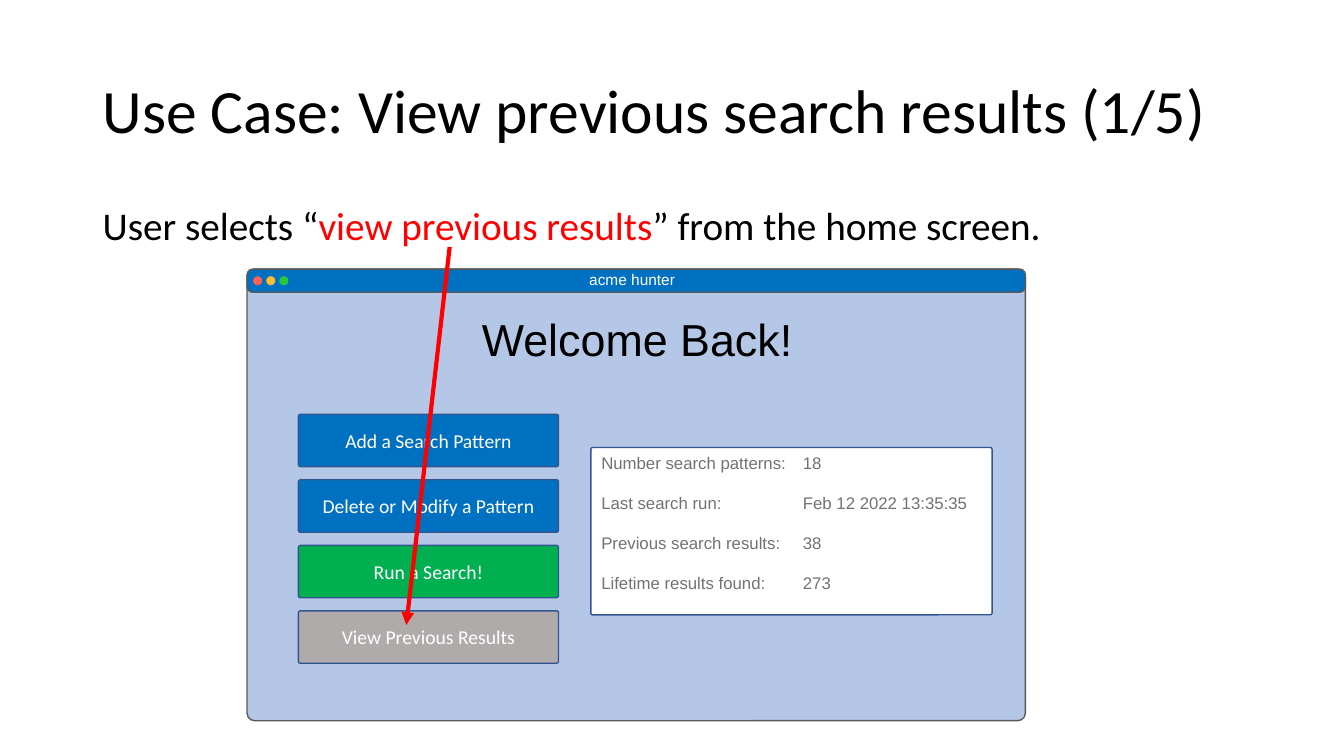
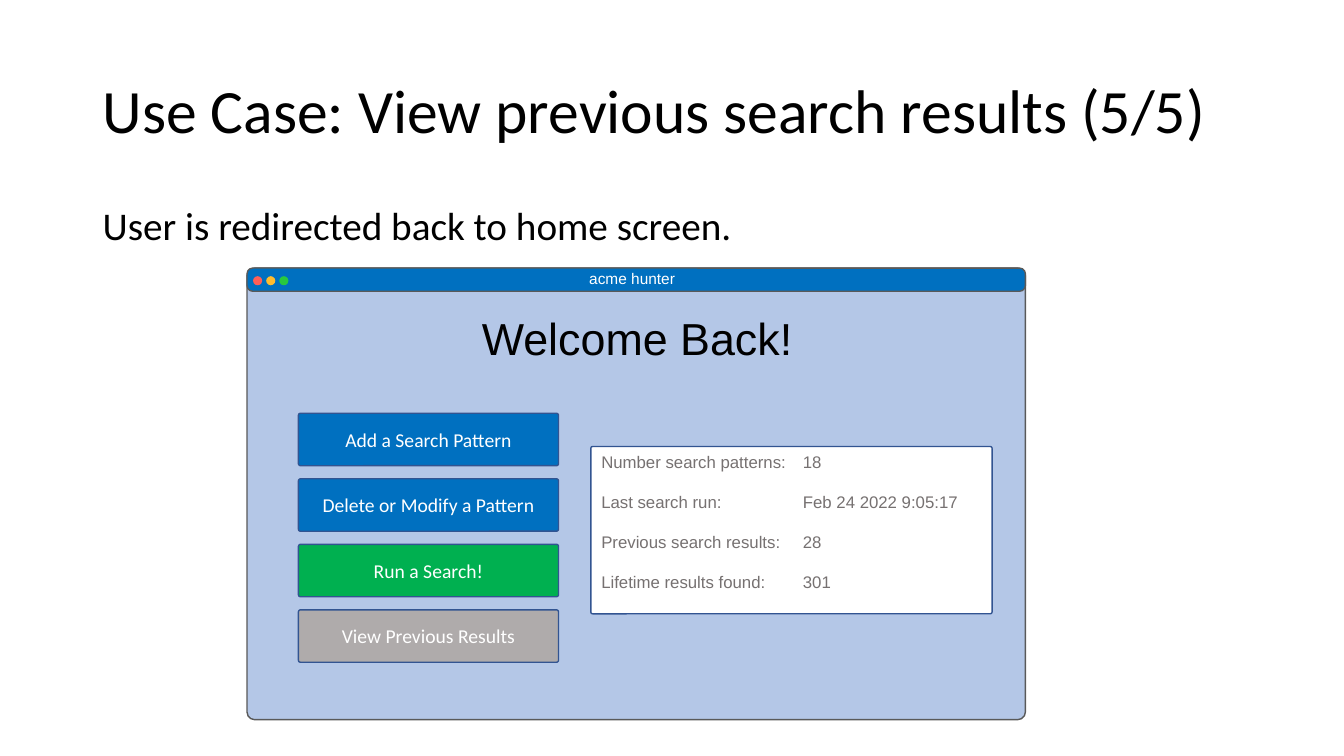
from lxml.etree import SubElement
from pptx import Presentation
from pptx.dml.color import RGBColor
from pptx.enum.shapes import MSO_CONNECTOR as Connector, MSO_SHAPE as Preset
from pptx.enum.text import MSO_ANCHOR as Anchor, PP_ALIGN as Align
from pptx.oxml.ns import qn
from pptx.util import Inches, Pt

COLORS = {
    "black": "000000", "white": "FFFFFF", "red": "FF0000",
    "window": "B4C7E7", "window_edge": "595959",
    "blue": "0070C0", "green": "00B050", "gray": "AFABAB",
    "edge": "325491", "stat": "767171",
    "close": "FF5F57", "minimize": "FFBC2E", "zoom": "28C840",
}
BUTTONS = [
    ("Add a Search Pattern", "blue"),
    ("Delete or Modify a Pattern", "blue"),
    ("Run a Search!", "green"),
    ("View Previous Results", "gray"),
]
STAT_LABELS = [
    "Number search patterns:", "Last search run:",
    "Previous search results:", "Lifetime results found:",
]


def rgb(name):
    return RGBColor.from_string(COLORS[name])


def write(frame, text, size=14, font="Calibri", color="black", align=Align.LEFT,
          anchor=Anchor.TOP, line=None, before=None, after=None, tab=None):
    frame.word_wrap = True
    frame.vertical_anchor = anchor
    rows = [text] if isinstance(text, str) else text
    for index, row in enumerate(rows):
        paragraph = frame.add_paragraph() if index else frame.paragraphs[0]
        paragraph.alignment = align
        paragraph.line_spacing = line
        paragraph.space_before = before
        paragraph.space_after = after
        if tab:
            tabs = SubElement(paragraph._p.get_or_add_pPr(), qn("a:tabLst"))
            SubElement(tabs, qn("a:tab"), pos=str(Inches(tab)), algn="l")
        pieces = [(row, color)] if isinstance(row, str) else row
        for words, shade in pieces:
            run = paragraph.add_run()
            run.text = words
            run.font.size = Pt(size)
            run.font.name = font
            run.font.color.rgb = rgb(shade)


class Deck:
    def __init__(self):
        self.presentation = Presentation()
        self.presentation.slide_width = Inches(13.33)
        self.presentation.slide_height = Inches(7.5)

    def new_slide(self, title, body):
        self.slide = self.presentation.slides.add_slide(self.presentation.slide_layouts[6])
        self.shapes = self.slide.shapes
        self.text(0.92, 0.4, 11.5, 1.45, title, size=44, anchor=Anchor.MIDDLE, line=0.9)
        self.text(0.92, 2, 11.5, 0.57, body, size=28, line=0.9, before=Pt(10))

    def text(self, left, top, width, height, text, **style):
        box = self.shapes.add_textbox(Inches(left), Inches(top), Inches(width), Inches(height))
        write(box.text_frame, text, **style)

    def shape(self, preset, left, top, width, height, fill, edge=None, radius=None):
        shape = self.shapes.add_shape(
            preset, Inches(left), Inches(top), Inches(width), Inches(height))
        shape.shadow.inherit = False
        shape.fill.solid()
        shape.fill.fore_color.rgb = rgb(fill)
        if edge:
            shape.line.color.rgb = rgb(edge)
            shape.line.width = Pt(1)
        else:
            shape.line.fill.background()
        if radius is not None:
            shape.adjustments[0] = radius
        return shape

    def rounded(self, *box, **style):
        return self.shape(Preset.ROUNDED_RECTANGLE, *box, **style)

    def home_screen(self, top, values):
        self.shapes = self.slide.shapes.add_group_shape().shapes
        self.rounded(2.45, top, 7.72, 4.48, fill="window", edge="window_edge", radius=0.017)
        self.rounded(2.45, top, 7.72, 0.23, fill="blue", edge="window_edge", radius=0.248)
        for index, color in enumerate(("close", "minimize", "zoom")):
            self.shape(Preset.OVAL, 2.51 + 0.13 * index, 2.74, 0.09, 0.09, fill=color)
        self.text(5.27, top - 0.04, 2, 0.29, "acme hunter",
                  size=11, font="Arial", color="white", align=Align.CENTER)
        self.text(4.32, top + 0.37, 4, 0.64, "Welcome Back!",
                  size=32, font="Arial", align=Align.CENTER)
        for index, (label, color) in enumerate(BUTTONS):
            button = self.rounded(2.96, top + 1.44 + 0.65 * index, 2.58, 0.52,
                                  fill=color, edge="edge", radius=0.038)
            write(button.text_frame, label, color="white",
                  align=Align.CENTER, anchor=Anchor.MIDDLE)
        panel = self.rounded(5.86, top + 1.77, 3.98, 1.66,
                             fill="white", edge="edge", radius=0.011)
        rows = [f"{label}\t{value}" for label, value in zip(STAT_LABELS, values)]
        write(panel.text_frame, rows, size=12, font="Arial", color="stat",
              after=Pt(14), tab=2)
        self.shapes = self.slide.shapes

    def arrow(self, start, end):
        points = [Inches(value) for value in (*start, *end)]
        connector = self.shapes.add_connector(Connector.STRAIGHT, *points)
        connector.line.color.rgb = rgb("red")
        connector.line.width = Pt(3)
        SubElement(connector.line._get_or_add_ln(), qn("a:tailEnd"), type="triangle")
        SubElement(connector._element.spPr, qn("a:effectLst"))


def main():
    deck = Deck()
    title = "Use Case: View previous search results ({}/5)"

    deck.new_slide(title.format(1), [[
        ("User selects “", "black"),
        ("view previous results", "red"),
        ("” from the home screen.", "black"),
    ]])
    deck.home_screen(2.67, ["18", "Feb 12 2022 13:35:35", "38", "273"])
    deck.arrow((4.46, 2.45), (4.03, 6.2))

    deck.new_slide(title.format(5), "User is redirected back to home screen.")
    deck.home_screen(2.66, ["18", "Feb 24 2022 9:05:17", "28", "301"])

    deck.presentation.save("out.pptx")


if __name__ == "__main__":
    main()
